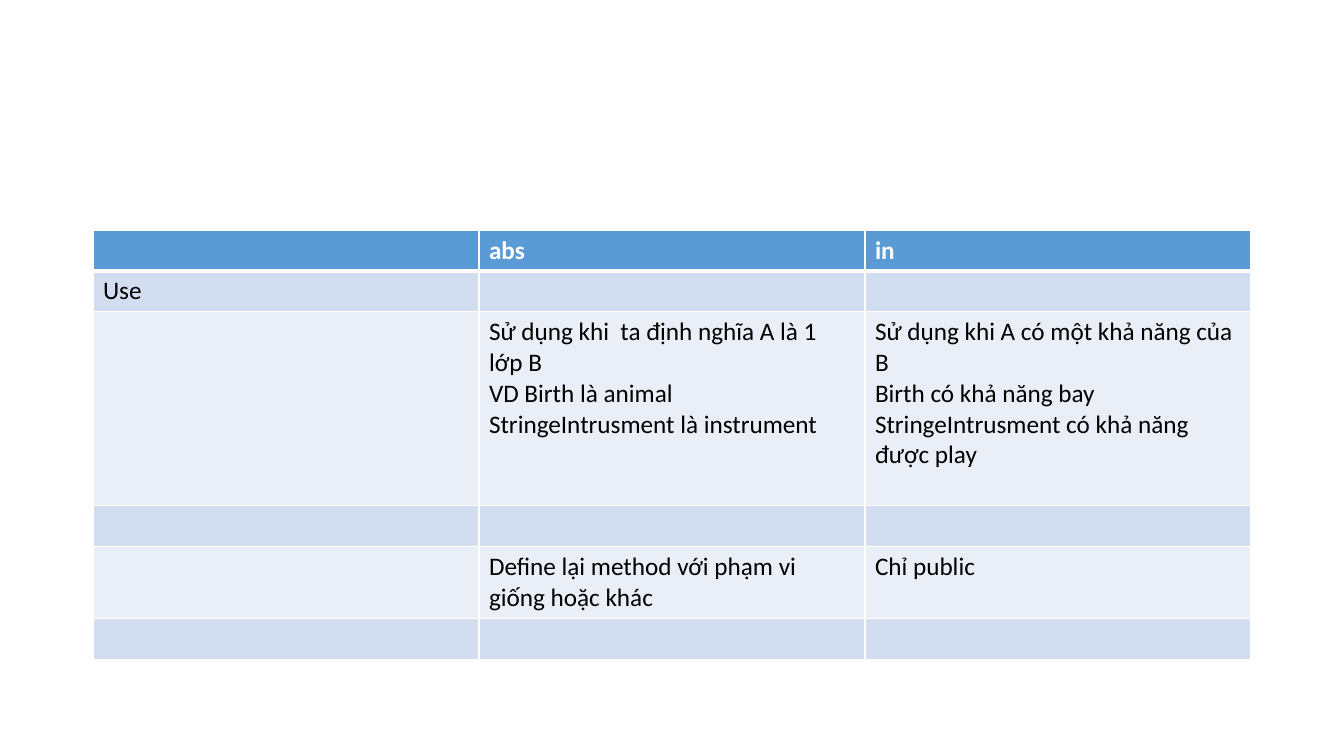
from lxml import etree
from pptx import Presentation
from pptx import util as u
from pptx.dml.color import RGBColor
from pptx.oxml.ns import qn

# Content: rows of cells, each cell a list of paragraphs
COMPARISON = [
    [[], ["abs"], ["in"]],
    [["Use"], [], []],
    [[],
     ["Sử dụng khi  ta định nghĩa A là 1 lớp B",
      "VD Birth là animal",
      "StringeIntrusment là instrument"],
     ["Sử dụng khi A có một khả năng của",
      "B",
      "Birth có khả năng bay",
      "StringeIntrusment có khả năng được play"]],
    [[], [], []],
    [[], ["Define lại method với phạm vi giống hoặc khác"], ["Chỉ public"]],
    [[], [], []],
]
COLORS = {"header": "5B9BD5", "odd": "D2DEEF", "even": "EAEFF7",
          "rule": "FFFFFF", "header_text": "FFFFFF", "body_text": "000000"}
FONT, FONT_SIZE = "Calibri", u.Pt(18)

# Layout in px
SLIDE_W, SLIDE_H = 1344, 756
LEFT, TOP, COLUMN_W = 93, 230, 386
ROW_HEIGHTS = [40, 41, 194, 41, 72, 40]
THIN, THICK = 1, 3  # border widths in points


def px(length):
    return u.Emu(round(length * 914400 / 100.8))


def set_borders(cell, widths):
    properties = cell._tc.get_or_add_tcPr()
    for position, (side, width) in enumerate(widths.items()):
        line = etree.Element(qn(f"a:ln{side}"), w=str(u.Pt(width)))
        fill = etree.SubElement(line, qn("a:solidFill"))
        etree.SubElement(fill, qn("a:srgbClr"), val=COLORS["rule"])
        properties.insert(position, line)


def write_cell(cell, lines, is_header):
    frame = cell.text_frame
    for index, line in enumerate(lines):
        paragraph = frame.add_paragraph() if index else frame.paragraphs[0]
        run = paragraph.add_run()
        run.text = line
        run.font.name, run.font.size, run.font.bold = FONT, FONT_SIZE, is_header
        color = COLORS["header_text" if is_header else "body_text"]
        run.font.color.rgb = RGBColor.from_string(color)
    if not lines:
        frame.paragraphs[0].font.size = FONT_SIZE


deck = Presentation()
deck.slide_width, deck.slide_height = px(SLIDE_W), px(SLIDE_H)
slide = deck.slides.add_slide(deck.slide_layouts[6])

# Comparison table
column_count = len(COMPARISON[0])
comparison = slide.shapes.add_table(
    len(COMPARISON), column_count, px(LEFT), px(TOP),
    px(COLUMN_W * column_count), px(sum(ROW_HEIGHTS))).table
for column in comparison.columns:
    column.width = px(COLUMN_W)

for r, (row, height) in enumerate(zip(COMPARISON, ROW_HEIGHTS)):
    comparison.rows[r].height = px(height)
    band = "header" if r == 0 else "odd" if r % 2 else "even"
    widths = {"L": THIN, "R": THIN,
              "T": THICK if r == 1 else THIN,
              "B": THICK if r == 0 else THIN}
    for c, lines in enumerate(row):
        cell = comparison.cell(r, c)
        cell.fill.solid()
        cell.fill.fore_color.rgb = RGBColor.from_string(COLORS[band])
        set_borders(cell, widths)
        write_cell(cell, lines, r == 0)

deck.save("out.pptx")
